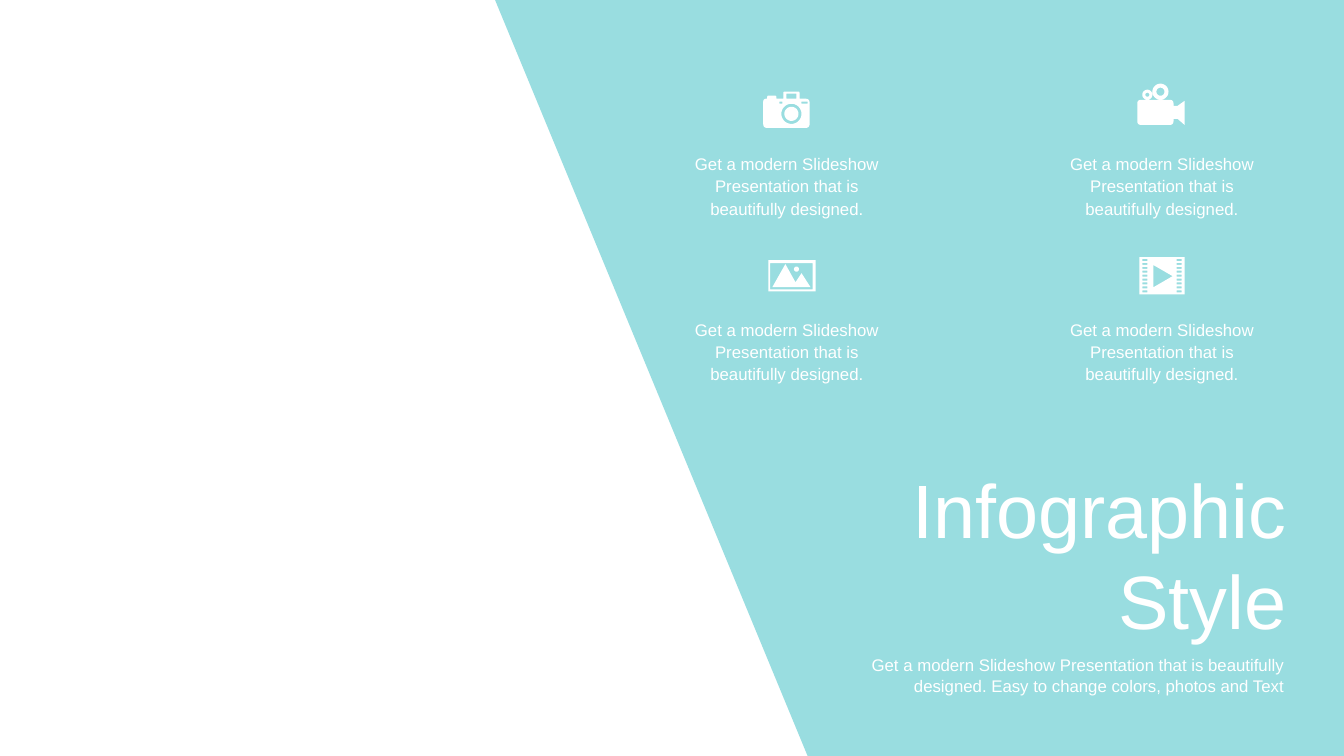
"""Build the infographic slide: a slanted tinted panel, four captioned icons and a title."""
import itertools
import math
from dataclasses import dataclass, field

import lxml.etree
import pptx
import pptx.dml.color
import pptx.enum.text
import pptx.oxml.ns
import pptx.util

Inches = pptx.util.Inches
ALIGN = pptx.enum.text.PP_ALIGN
ANCHOR = pptx.enum.text.MSO_ANCHOR

Point = tuple[float, float]
Contour = list[Point]


@dataclass(frozen=True)
class Theme:
    panel: str = "00ACB2"
    panel_opacity: int = 40
    light: str = "FFFFFF"
    font: str = "Arial"
    title_size: int = 54
    text_size: int = 12


@dataclass(frozen=True)
class Outline:
    left: float
    top: float
    contours: list[Contour]
    color: str


@dataclass(frozen=True)
class TextBlock:
    box: tuple[float, float, float, float]
    lines: list[str]
    size: int
    paragraph_format: dict = field(default_factory=dict)
    anchor: ANCHOR = ANCHOR.TOP


THEME = Theme()
CAPTION = "Get a modern Slideshow Presentation that is beautifully designed."
SUBTITLE = ("Get a modern Slideshow Presentation that is beautifully designed. "
            "Easy to change colors, photos and Text")


def rectangle(left: float, top: float, width: float, height: float) -> Contour:
    return [(left, top), (left + width, top),
            (left + width, top + height), (left, top + height)]


def circle(x: float, y: float, radius: float, steps: int = 36) -> Contour:
    angles = [2 * math.pi * step / steps for step in range(steps)]
    return [(x + radius * math.cos(angle), y + radius * math.sin(angle)) for angle in angles]


def toward(start: Point, end: Point, distance: float) -> Point:
    share = distance / math.dist(start, end)
    return (start[0] + share * (end[0] - start[0]), start[1] + share * (end[1] - start[1]))


def rounded(corners: list[tuple[float, float, float]], steps: int = 6) -> Contour:
    contour = []
    for index, (x, y, radius) in enumerate(corners):
        if not radius:
            contour.append((x, y))
            continue
        entry = toward((x, y), corners[index - 1][:2], radius)
        leaving = toward((x, y), corners[(index + 1) % len(corners)][:2], radius)
        for step in range(steps + 1):
            t = step / steps
            weights = ((1 - t) ** 2, 2 * t * (1 - t), t ** 2)
            contour.append(tuple(
                sum(weight * value for weight, value in zip(weights, values))
                for values in zip(entry, (x, y), leaving)))
    return contour


def icon_outlines() -> list[Outline]:
    camera = [
        rounded([(0.2, 0, 0.01), (0.36, 0, 0.01), (0.36, 0.07, 0), (0.46, 0.07, 0.04),
                 (0.46, 0.36, 0.04), (0, 0.36, 0.04), (0, 0.07, 0.03), (0.04, 0.07, 0),
                 (0.04, 0.04, 0.01), (0.13, 0.04, 0.01), (0.13, 0.07, 0), (0.2, 0.07, 0)]),
        rectangle(0.23, 0.02, 0.1, 0.05),
        rectangle(0.16, 0.1, 0.03, 0.02),
        rectangle(0.38, 0.1, 0.06, 0.02),
        circle(0.28, 0.22, 0.1),
        circle(0.28, 0.22, 0.07),
    ]
    camcorder = [
        rounded([(0, 0.16, 0.04), (0.36, 0.16, 0.04), (0.36, 0.22, 0), (0.4, 0.22, 0),
                 (0.47, 0.17, 0), (0.47, 0.41, 0), (0.4, 0.35, 0), (0.36, 0.35, 0),
                 (0.36, 0.41, 0.04), (0, 0.41, 0.04)]),
        circle(0.1, 0.11, 0.05),
        circle(0.1, 0.11, 0.02),
        circle(0.23, 0.08, 0.08),
        circle(0.23, 0.08, 0.04),
    ]
    landscape = [
        rectangle(0, 0, 0.47, 0.31),
        rectangle(0.02, 0.03, 0.42, 0.26),
        [(0.17, 0.04), (0.27, 0.22), (0.33, 0.13), (0.42, 0.27), (0.04, 0.27)],
        circle(0.28, 0.09, 0.025),
    ]
    perforations = [rectangle(left, 0.02 + row * 0.31 / 8, 0.05, 0.02)
                    for left, row in itertools.product((0.03, 0.37), range(9))]
    film = [rectangle(0, 0, 0.45, 0.37), [(0.14, 0.08), (0.33, 0.19), (0.14, 0.3)],
            *perforations]
    return [Outline(left, top, contours, THEME.light) for left, top, contours in (
        (7.57, 0.91, camera), (11.28, 0.83, camcorder),
        (7.62, 2.58, landscape), (11.3, 2.55, film))]


def draw_outline(slide, outline: Outline):
    contours = [[(Inches(outline.left + x), Inches(outline.top + y)) for x, y in contour]
                for contour in outline.contours]
    builder = slide.shapes.build_freeform(*contours[0][0])
    builder.add_line_segments(contours[0][1:], close=True)
    for contour in contours[1:]:
        builder.move_to(*contour[0])
        builder.add_line_segments(contour[1:], close=True)
    shape = builder.convert_to_shape()
    shape.shadow.inherit = False
    shape.line.fill.background()
    shape.fill.solid()
    shape.fill.fore_color.rgb = pptx.dml.color.RGBColor.from_string(outline.color)
    return shape


def set_opacity(shape, percent: int) -> None:
    color = shape.fill._xPr.find(".//" + pptx.oxml.ns.qn("a:srgbClr"))
    alpha = lxml.etree.SubElement(color, pptx.oxml.ns.qn("a:alpha"))
    alpha.set("val", str(percent * 1000))


def write_text(shape, block: TextBlock) -> None:
    for name, value in zip(("left", "top", "width", "height"), block.box):
        setattr(shape, name, Inches(value))
    frame = shape.text_frame
    frame.text = "\n".join(block.lines)
    frame_format = {"word_wrap": True, "vertical_anchor": block.anchor,
                    "auto_size": pptx.enum.text.MSO_AUTO_SIZE.SHAPE_TO_FIT_TEXT}
    for name, value in frame_format.items():
        setattr(frame, name, value)
    font_format = {"name": THEME.font, "size": pptx.util.Pt(block.size)}
    for paragraph in frame.paragraphs:
        for name, value in block.paragraph_format.items():
            setattr(paragraph, name, value)
        for run in paragraph.runs:
            for name, value in font_format.items():
                setattr(run.font, name, value)
            run.font.color.rgb = pptx.dml.color.RGBColor.from_string(THEME.light)


def main() -> None:
    presentation = pptx.Presentation()
    presentation.slide_width = Inches(13.33)
    presentation.slide_height = Inches(7.5)
    slide = presentation.slides.add_slide(presentation.slide_layouts[0])

    panel_corners = [(0, 0), (8.42, 0), (8.42, 7.5), (3.1, 7.5)]
    panel = draw_outline(slide, Outline(4.91, 0, [panel_corners], THEME.panel))
    set_opacity(panel, THEME.panel_opacity)
    slide.shapes._spTree.insert(2, panel._element)

    right_aligned = {"alignment": ALIGN.RIGHT, "line_spacing": 1.0,
                     "space_before": pptx.util.Pt(0)}
    write_text(slide.shapes.title, TextBlock(
        (7.56, 4.53, 5.3, 1.92), ["Infographic", "Style"], THEME.title_size,
        right_aligned, ANCHOR.MIDDLE))
    write_text(slide.placeholders[1], TextBlock(
        (8.21, 6.45, 4.63, 0.5), [SUBTITLE], THEME.text_size, right_aligned))

    centered = {"alignment": ALIGN.CENTER, "line_spacing": 1.1}
    for row, column in itertools.product(range(2), range(2)):
        box = (6.65 + 3.72 * column, 1.46 + 1.64 * row, 2.31, 0.77)
        caption = slide.shapes.add_textbox(*map(Inches, box))
        write_text(caption, TextBlock(box, [CAPTION], THEME.text_size, centered))

    for outline in icon_outlines():
        draw_outline(slide, outline)
    presentation.save("out.pptx")


if __name__ == "__main__":
    main()
